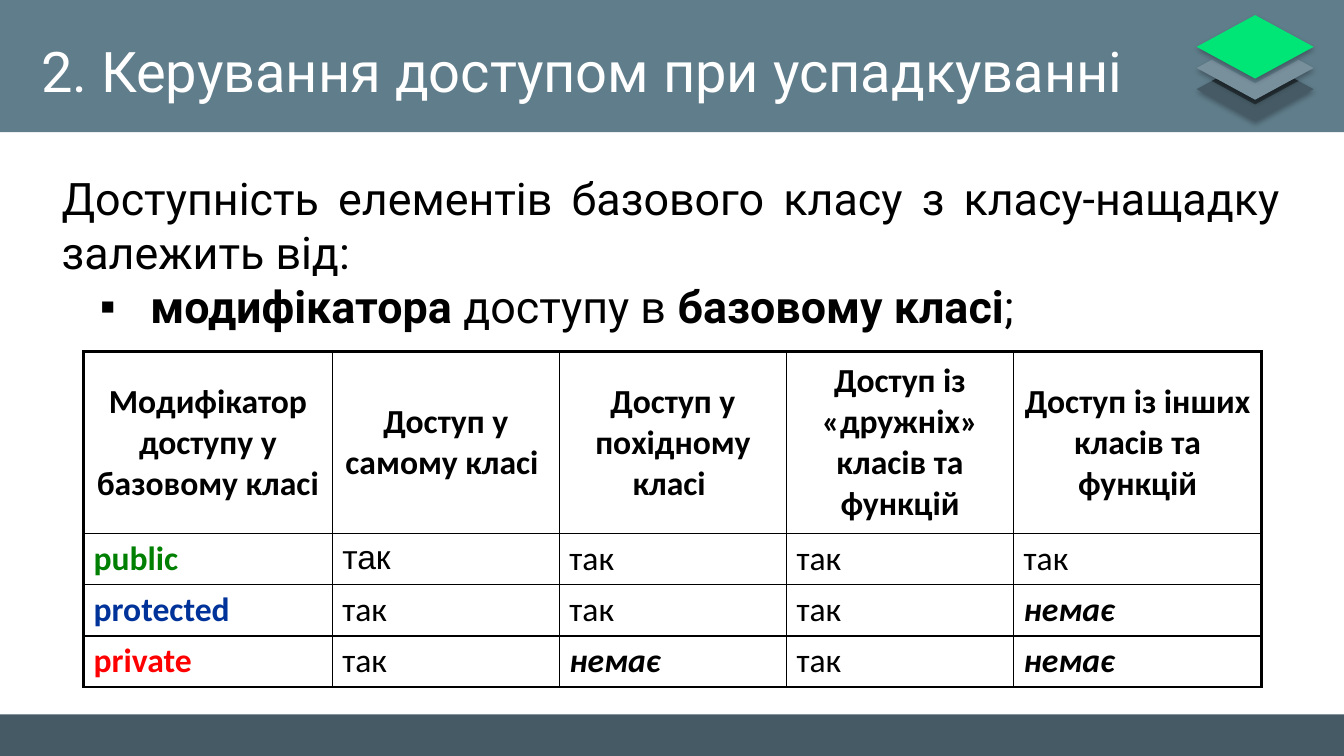
from dataclasses import dataclass

from lxml.etree import SubElement
from pptx import Presentation
from pptx.dml.color import RGBColor
from pptx.enum.shapes import MSO_SHAPE as Shape
from pptx.enum.text import MSO_ANCHOR as Anchor, MSO_AUTO_SIZE as AutoSize, PP_ALIGN as Align
from pptx.oxml.ns import qn
from pptx.util import Inches, Pt


@dataclass(frozen=True)
class Theme:
    display: str = "Roboto"
    grid: str = "Calibri"
    grid_alt: str = "Arial"
    title_size: int = 40
    body_size: int = 32
    cell_size: int = 24
    thin: float = 1
    thick: float = 2.25
    ink: str = "000000"
    paper: str = "FFFFFF"
    header: str = "607D8B"
    footer: str = "455A64"
    stack: tuple = (("455A64", "263238"), ("78909C", "607D8B"), ("00E676", None))
    access: tuple = ("008002", "003399", "FF0000")


class LessonSlide:
    def __init__(self, deck, theme):
        self.theme = theme
        self.width, self.height = deck.slide_width, deck.slide_height
        self.slide = deck.slides.add_slide(deck.slide_layouts[1])
        self.shapes = self.slide.shapes

    def x(self, percent):
        return round(self.width * percent / 100)

    def y(self, percent):
        return round(self.height * percent / 100)

    def box(self, left, top, width, height):
        return self.x(left), self.y(top), self.x(width), self.y(height)

    def paint(self, shape, color):
        shape.shadow.inherit = False
        shape.fill.solid()
        shape.fill.fore_color.rgb = RGBColor.from_string(color)
        shape.line.fill.background()

    def style(self, run, size, font, color, bold=False, italic=False):
        run.font.size, run.font.name = Pt(size), font
        run.font.bold, run.font.italic = bold, italic
        run.font.color.rgb = RGBColor.from_string(color)

    def bar(self, top, height, color):
        self.paint(self.shapes.add_shape(Shape.RECTANGLE, *self.box(0, top, 100, height)), color)

    def place(self, placeholder, box):
        placeholder.left, placeholder.top, placeholder.width, placeholder.height = self.box(*box)
        placeholder.element.getparent().append(placeholder.element)
        frame = placeholder.text_frame
        frame.word_wrap, frame.auto_size = True, AutoSize.NONE
        frame.vertical_anchor = Anchor.MIDDLE
        return frame

    def title(self, text, box):
        frame = self.place(self.shapes.title, box)
        frame.text = text
        heading = frame.paragraphs[0]
        heading.alignment = Align.LEFT
        self.style(heading.runs[0], self.theme.title_size, self.theme.display, self.theme.paper)

    def body(self, lines, box):
        frame = self.place(self.slide.placeholders[1], box)
        for number, (bullet, parts) in enumerate(lines):
            line = frame.add_paragraph() if number else frame.paragraphs[0]
            line.alignment = Align.JUSTIFY
            line.space_before = line.space_after = Pt(0)
            self.bullet(line, bullet)
            for text, bold in parts:
                run = line.add_run()
                run.text = text
                self.style(run, self.theme.body_size, self.theme.display, self.theme.ink, bold)

    def bullet(self, line, mark):
        props = line._p.get_or_add_pPr()
        props.set("marL", str(Inches(0.88 if mark else 0)))
        props.set("indent", str(Inches(-0.5 if mark else 0)))
        if mark:
            SubElement(props, qn("a:buFont"), typeface=self.theme.grid_alt)
            SubElement(props, qn("a:buChar"), char=mark)
        else:
            SubElement(props, qn("a:buNone"))

    def shade(self, shape):
        effects = shape.element.spPr.find(qn("a:effectLst"))
        shadow = SubElement(effects, qn("a:outerShdw"), blurRad=str(Pt(4)), dist=str(Pt(2)),
                            dir="5400000", algn="ctr", rotWithShape="0")
        tint = SubElement(shadow, qn("a:srgbClr"), val=self.theme.ink)
        SubElement(tint, qn("a:alpha"), val="30000")

    def stack(self, left, bottom_top, width, height, step):
        layers = self.shapes.add_group_shape().shapes
        middle = left + width / 2
        half_w, half_h = width * 0.37, height * 0.37
        for level, (face, inset) in enumerate(self.theme.stack):
            top = bottom_top - level * step
            tile = layers.add_shape(Shape.DIAMOND, *self.box(left, top, width, height))
            self.paint(tile, face)
            self.shade(tile)
            if inset:
                outline = layers.build_freeform(self.x(middle), self.y(top))
                outline.add_line_segments([(self.x(middle + dx * half_w), self.y(top + dy * half_h))
                                           for dx, dy in ((1, 1), (0, 2), (-1, 1))])
                self.paint(outline.convert_to_shape(), inset)

    def borders(self, cell, thick_sides):
        props = cell._tc.get_or_add_tcPr()
        for side in "LRTB":
            weight = self.theme.thick if side in thick_sides else self.theme.thin
            line = SubElement(props, qn(f"a:ln{side}"), w=str(Pt(weight)))
            fill = SubElement(line, qn("a:solidFill"))
            SubElement(fill, qn("a:srgbClr"), val=self.theme.ink)
        cell.fill.background()

    def table(self, rows, left, top, columns, heights):
        box = self.box(left, top, sum(columns), sum(heights))
        table = self.shapes.add_table(len(rows), len(columns), *box).table
        table.first_row = table.horz_banding = False
        for column, width in zip(table.columns, columns):
            column.width = self.x(width)
        for row, height in zip(table.rows, heights):
            row.height = self.y(height)
        for r, texts in enumerate(rows):
            for c, text in enumerate(texts):
                cell = table.cell(r, c)
                heading, modifier, denied = r == 0, c == 0, text == "немає"
                cell.text = text
                cell.vertical_anchor = Anchor.MIDDLE if heading or modifier else Anchor.TOP
                words = cell.text_frame.paragraphs[0]
                words.alignment = Align.CENTER if heading else Align.LEFT
                color = self.theme.access[r - 1] if modifier and not heading else self.theme.ink
                font = self.theme.grid_alt if (r, c) == (1, 1) else self.theme.grid
                self.style(words.runs[0], self.theme.cell_size, font, color,
                           heading or modifier or denied, denied)
                edges = {"L": modifier, "R": c == len(columns) - 1, "T": heading}
                self.borders(cell, [side for side, outer in edges.items() if outer])


INTRO = [
    (None, [("Доступність елементів базового класу з класу-нащадку залежить від:", False)]),
    ("▪", [("модифікатора ", True), ("доступу в ", False), ("базовому класі", True), (";", False)]),
]
ACCESS = [
    ["Модифікатор доступу у базовому класі", "Доступ у самому класі ", "Доступ у похідному класі ",
     "Доступ із «дружніх» класів та функцій", "Доступ із інших класів та функцій"],
    ["public", "так", "так", "так", "так"],
    ["protected", "так", "так", "так", "немає"],
    ["private", "так", "немає", "так", "немає"],
]


def main():
    deck = Presentation()
    deck.slide_width, deck.slide_height = Inches(13.33), Inches(7.5)
    theme = Theme()
    lesson = LessonSlide(deck, theme)
    lesson.bar(94.5, 5.5, theme.footer)
    lesson.bar(0, 17.5, theme.header)
    lesson.stack(89.04, 7.6, 8.7, 8.4, 2.8)
    lesson.title("2. Керування доступом при успадкуванні", (2.3, 3.6, 86.2, 11.3))
    lesson.body(INTRO, (3.83, 22.5, 92.25, 21.6))
    lesson.table(ACCESS, 6.22, 46.5, [18.5] + [16.9] * 3 + [18.45], [24.1] + [6.55] * 3)
    deck.save("out.pptx")


if __name__ == "__main__":
    main()
